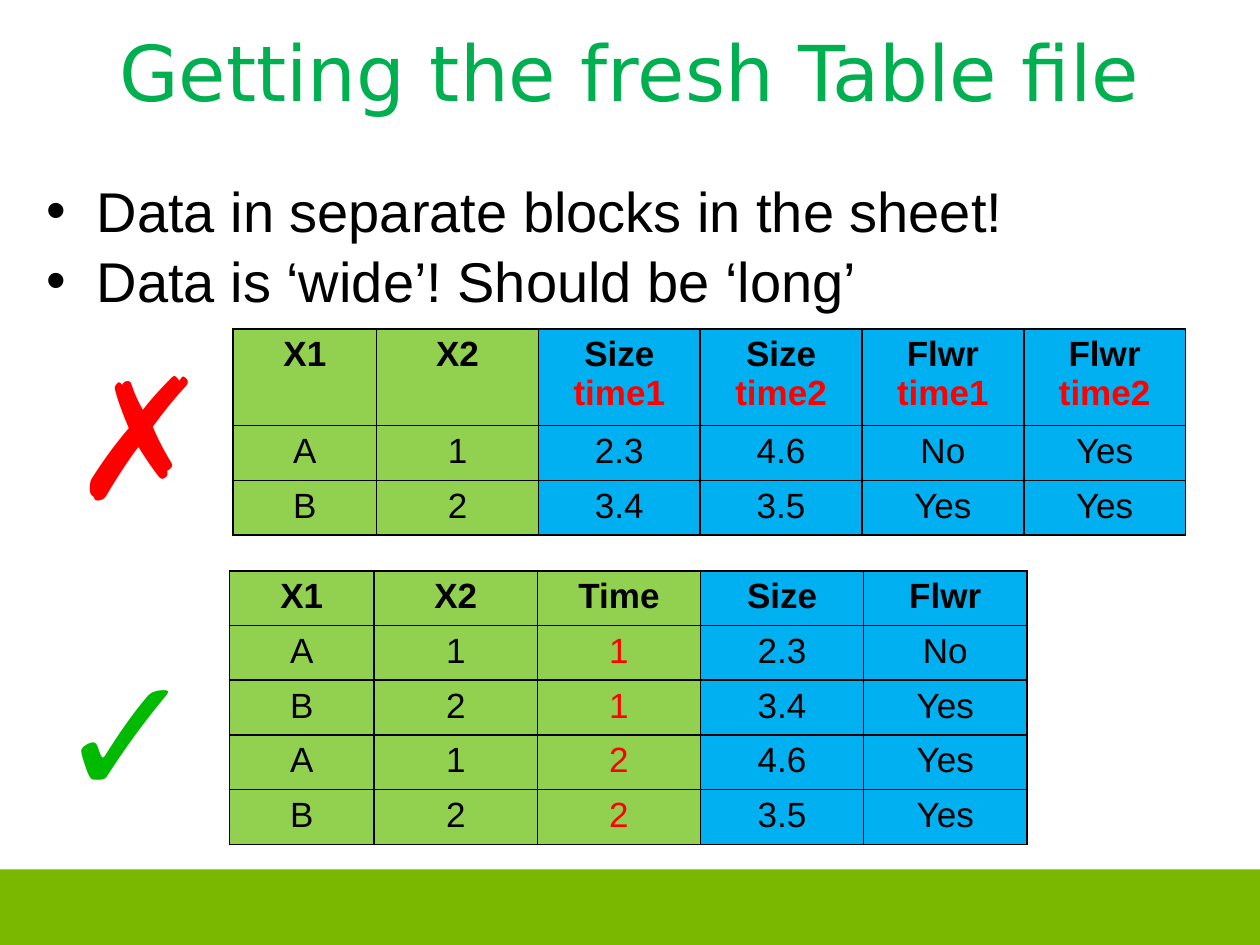
from pptx import Presentation
from pptx.dml.color import RGBColor
from pptx.enum import shapes, text as t
from pptx.oxml import parse_xml
from pptx.oxml.ns import nsdecls
from pptx.util import Inches, Pt

BLACK, RED, GREEN, BLUE = "000000", "FF0000", "92D050", "00B0F0"
MID = t.PP_ALIGN.CENTER


def color(code):
    return RGBColor.from_string(code)


def style(run, size, ink=BLACK, bold=False, face="Arial"):
    for name, value in {"size": Pt(size), "bold": bold, "name": face}.items():
        setattr(run.font, name, value)
    run.font.color.rgb = color(ink)


def add_box(slide, box, wrap=True, anchor=t.MSO_ANCHOR.TOP):
    frame = slide.shapes.add_textbox(*map(Inches, box)).text_frame
    frame.word_wrap = wrap
    frame.vertical_anchor = anchor
    return frame


def add_line(slide, box, words, size, ink, face="Arial", wrap=True):
    frame = add_box(slide, box, wrap, t.MSO_ANCHOR.MIDDLE)
    para = frame.paragraphs[0]
    para.alignment = MID
    run = para.add_run()
    run.text = words
    style(run, size, ink, face=face)


def add_list(slide, box, items):
    frame = add_box(slide, box)
    frame.margin_top = Inches(0.09)
    for i, item in enumerate(items):
        para = frame.add_paragraph() if i else frame.paragraphs[0]
        para.space_before = Pt(1.5 if i else 0)
        run = para.add_run()
        run.text = item
        style(run, 32)
        props = para._p.get_or_add_pPr()
        props.set("marL", str(Inches(0.4)))
        props.set("indent", str(-Inches(0.4)))
        props.append(parse_xml(f'<a:buFont {nsdecls("a")} typeface="Arial"/>'))
        props.append(parse_xml(f'<a:buChar {nsdecls("a")} char="•"/>'))


def add_edges(cell):
    props = cell._tc.get_or_add_tcPr()
    for i, side in enumerate("LRTB"):
        props.insert(i, parse_xml(
            f'<a:ln{side} {nsdecls("a")} w="12700"><a:solidFill>'
            f'<a:srgbClr val="{BLACK}"/></a:solidFill></a:ln{side}>'))


def fill_cell(cell, words, fill, ink, bold):
    cell.fill.solid()
    cell.fill.fore_color.rgb = color(fill)
    para = cell.text_frame.paragraphs[0]
    para.alignment = MID
    for i, part in enumerate(words.split("\n")):
        if i:
            para.add_line_break()
        run = para.add_run()
        run.text = part
        style(run, 20, RED if i else ink, bold)
    add_edges(cell)


def add_grid(slide, box, rows, first, head, keys, red=None):
    """The first `keys` columns are green; column `red` has red values."""
    left, top, width, high = box
    count = len(rows[0])
    grid = slide.shapes.add_table(len(rows), count, *map(Inches, box)).table
    for c, col in enumerate(grid.columns):
        col.width = Inches((width - first) / (count - 1) if c else first)
    for r, row in enumerate(grid.rows):
        row.height = Inches((high - head) / (len(rows) - 1) if r else head)
        for c, words in enumerate(rows[r]):
            fill_cell(grid.cell(r, c), words, GREEN if c < keys else BLUE,
                      RED if r and c == red else BLACK, r == 0)


def add_band(slide, box):
    band = slide.shapes.add_shape(shapes.MSO_SHAPE.RECTANGLE, *map(Inches, box))
    band.shadow.inherit = False
    band.fill.solid()
    band.fill.fore_color.rgb = color("7AB800")
    band.line.fill.background()


deck = Presentation()
deck.slide_width, deck.slide_height = Inches(10), Inches(7.5)
slide = deck.slides.add_slide(deck.slide_layouts[6])

# Band, title and points
add_band(slide, (0, 6.9, 10, 0.6))
add_line(slide, (0.5, 0.05, 9, 1.02), "Getting the fresh Table file",
         44, "00B050", "DejaVu Sans")
add_list(slide, (0.27, 1.31, 9.45, 1.18),
         ["Data in separate blocks in the sheet!",
          "Data is ‘wide’! Should be ‘long’"])

# Wide table, marked wrong
wide = [["X1", "X2", "Size\ntime1", "Size\ntime2", "Flwr\ntime1", "Flwr\ntime2"],
        ["A", "1", "2.3", "4.6", "No", "Yes"],
        ["B", "2", "3.4", "3.5", "Yes", "Yes"]]
add_grid(slide, (1.85, 2.61, 7.56, 1.63), wide, first=1.14, head=0.76, keys=2)
add_line(slide, (0.46, 2.57, 1.06, 1.72), "✗", 96, RED, wrap=False)

# Long table, marked right
long = [["X1", "X2", "Time", "Size", "Flwr"],
        ["A", "1", "1", "2.3", "No"],
        ["B", "2", "1", "3.4", "Yes"],
        ["A", "1", "2", "4.6", "Yes"],
        ["B", "2", "2", "3.5", "Yes"]]
add_grid(slide, (1.82, 4.53, 6.33, 2.17), long, first=1.15, head=0.43, keys=3, red=2)
add_line(slide, (0.35, 4.93, 1.26, 1.72), "✓", 96, "00BA00", wrap=False)

deck.save("out.pptx")
